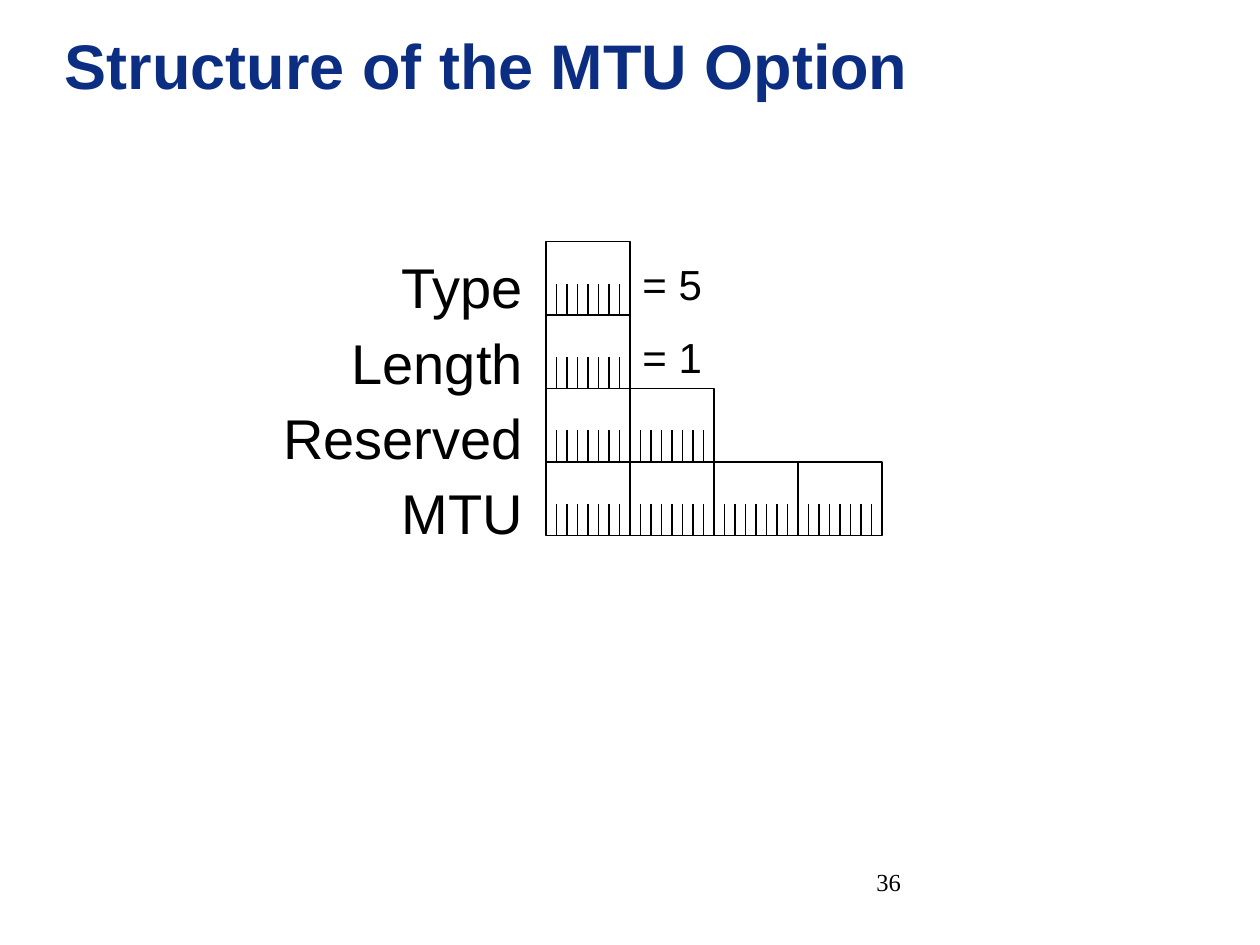
from lxml import etree
from pptx import Presentation
from pptx import util as u
from pptx.dml.color import RGBColor
from pptx.enum import shapes, text
from pptx.oxml.ns import qn

PX = 7620  # EMU per px, 120 px to the inch
COLORS = {"title": "0C2E82", "ink": "000000", "paper": "FFFFFF"}
BYTE_W, BYTE_H = 80, 70
BITS, TICK_H = 8, 30

# Name, size in bytes, fixed value
FIELDS = [("Type", 1, "= 5"), ("Length", 1, "= 1"),
          ("Reserved", 2, None), ("MTU", 4, None)]


def px(*values):
    return [u.Emu(v * PX) for v in values]


def rgb(name):
    return RGBColor.from_string(COLORS[name])


def add_text(parent, box, lines, size, color="ink", font="Arial", bold=False,
             align=text.PP_ALIGN.LEFT, gap=0, wrap=True,
             anchor=text.MSO_ANCHOR.TOP):
    tf = parent.shapes.add_textbox(*px(*box)).text_frame
    tf.word_wrap = wrap
    tf.auto_size = text.MSO_AUTO_SIZE.NONE
    tf.vertical_anchor = anchor
    for i, line in enumerate(lines):
        p = tf.add_paragraph() if i else tf.paragraphs[0]
        p.text = line
        p.alignment = align
        if i and gap:
            p.space_before = u.Pt(gap)
        p.font.name, p.font.size, p.font.bold = font, u.Pt(size), bold
        p.font.color.rgb = rgb(color)


def set_line(sp):
    sp.line.color.rgb = rgb("ink")
    sp.line.width = u.Pt(0.75)


def add_byte(parent, x, y):
    """One byte: a box with a tick between each pair of bits."""
    sp = parent.shapes.add_shape(shapes.MSO_SHAPE.RECTANGLE,
                                 *px(x, y, BYTE_W, BYTE_H))
    sp.shadow.inherit = False
    sp.fill.solid()
    sp.fill.fore_color.rgb = rgb("paper")
    set_line(sp)
    bottom = y + BYTE_H
    for bit in range(1, BITS):
        tick_x = x + bit * BYTE_W // BITS
        tick = parent.shapes.add_connector(
            shapes.MSO_CONNECTOR.STRAIGHT,
            *px(tick_x, bottom - TICK_H, tick_x, bottom))
        set_line(tick)
        etree.SubElement(tick._element.spPr, qn("a:effectLst"))


def add_option(s, x, y, label_w):
    """Field names on the left, their bytes and values on the right."""
    group = s.shapes.add_group_shape()
    add_text(group, (x, y + 5, label_w, len(FIELDS) * BYTE_H),
             [name for name, _, _ in FIELDS], 32,
             align=text.PP_ALIGN.RIGHT, gap=4.5)
    bytes_x = x + label_w + 10
    for row, (_, size, value) in enumerate(FIELDS):
        row_y = y + row * BYTE_H
        for col in range(size):
            add_byte(group, bytes_x + col * BYTE_W, row_y)
        if value:
            add_text(group, (bytes_x + size * BYTE_W, row_y + 10, BYTE_W, 60),
                     [value], 24, wrap=False)


def main():
    prs = Presentation()
    prs.slide_width, prs.slide_height = px(1200, 900)
    s = prs.slides.add_slide(prs.slide_layouts[6])

    # Title
    add_text(s, (50, 25, 1156, 72), ["Structure of the MTU Option"], 36,
             color="title", bold=True, anchor=text.MSO_ANCHOR.MIDDLE)
    # Option layout
    add_option(s, 140, 230, 370)
    # Slide number
    add_text(s, (620, 820, 250, 60), ["36"], 14, font="Times New Roman",
             align=text.PP_ALIGN.RIGHT)

    prs.save("out.pptx")


if __name__ == "__main__":
    main()
